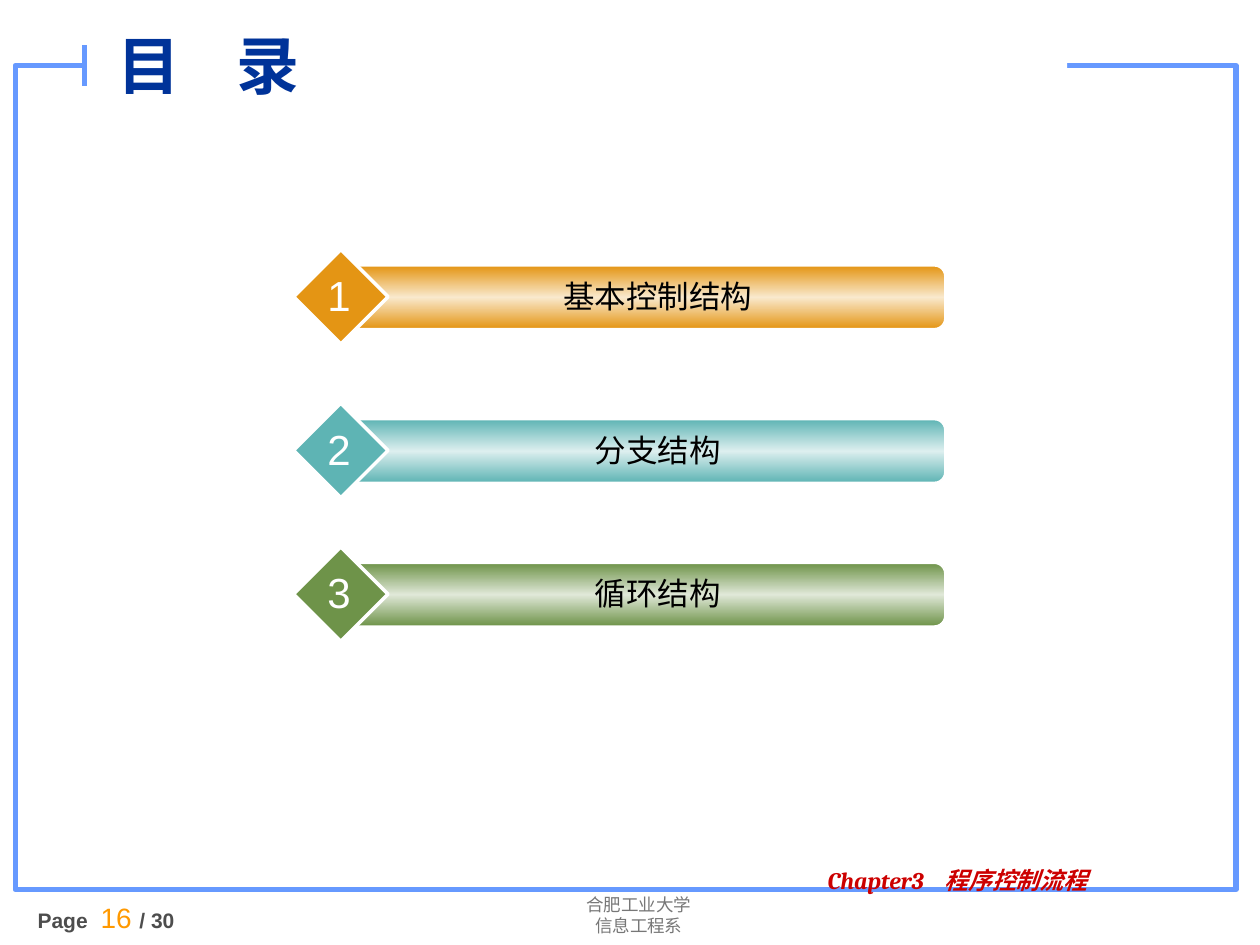
"""Build a contents slide with three numbered chapter sections."""
from copy import deepcopy

from lxml import etree
from pptx import Presentation
from pptx.dml.color import RGBColor
from pptx.enum.shapes import MSO_CONNECTOR, MSO_SHAPE
from pptx.enum.text import MSO_ANCHOR, MSO_AUTO_SIZE, PP_ALIGN
from pptx.oxml.ns import qn
from pptx.util import Inches, Pt

RECTANGLE, ROUNDED, DIAMOND = MSO_SHAPE.RECTANGLE, MSO_SHAPE.ROUNDED_RECTANGLE, MSO_SHAPE.DIAMOND
LEFT, CENTER = PP_ALIGN.LEFT, PP_ALIGN.CENTER
MIDDLE, GROW, FIXED = MSO_ANCHOR.MIDDLE, MSO_AUTO_SIZE.SHAPE_TO_FIT_TEXT, MSO_AUTO_SIZE.NONE
STRAIGHT = MSO_CONNECTOR.STRAIGHT

WHITE = RGBColor(0xFF, 0xFF, 0xFF)
BLACK = RGBColor(0x00, 0x00, 0x00)
FRAME_BLUE = RGBColor(0x66, 0x99, 0xFF)
TITLE_BLUE = RGBColor(0x00, 0x33, 0x99)
CHAPTER_RED = RGBColor(0xCC, 0x00, 0x00)
FOOTER_GRAY = RGBColor(0x77, 0x77, 0x77)
PAGE_GRAY = RGBColor(0x4D, 0x4D, 0x4D)
PAGE_ORANGE = RGBColor(0xFF, 0x99, 0x00)
ORANGE, PALE_ORANGE = RGBColor(0xE4, 0x95, 0x14), RGBColor(0xF9, 0xE9, 0xCD)
TEAL, PALE_TEAL = RGBColor(0x5E, 0xB4, 0xB4), RGBColor(0xDD, 0xEF, 0xEF)
GREEN, PALE_GREEN = RGBColor(0x6E, 0x93, 0x49), RGBColor(0xE0, 0xE8, 0xD8)

presentation = Presentation()
presentation.slide_width, presentation.slide_height = Inches(10), Inches(7.5)
slide = presentation.slides.add_slide(presentation.slide_layouts[5])


def add_shape(kind, box, line_color=None, line_width=0):
    shape = slide.shapes.add_shape(kind, *map(Inches, box))
    shape.shadow.inherit = False
    if line_color is None:
        shape.line.fill.background()
    else:
        shape.line.color.rgb = line_color
        shape.line.width = Pt(line_width)
    return shape


def write_text(shape, lines, align=LEFT, tab_stop=None, wrap=True, auto_size=GROW):
    frame = shape.text_frame
    frame.word_wrap, frame.auto_size = wrap, auto_size
    for index, runs in enumerate(lines):
        paragraph = frame.add_paragraph() if index else frame.paragraphs[0]
        paragraph.alignment = align
        if tab_stop:
            tabs = etree.SubElement(paragraph._p.get_or_add_pPr(), qn("a:tabLst"))
            etree.SubElement(tabs, qn("a:tab"), pos=str(Inches(tab_stop)), algn="l")
        for text, color, formats in runs:
            run = paragraph.add_run()
            run.text = text
            run.font.color.rgb = color
            for name, value in formats.items():
                setattr(run.font, name, value)


frame_border = add_shape(RECTANGLE, (0.12, 0.52, 9.69, 6.54), FRAME_BLUE, 3)
frame_border.fill.background()
title_gap = add_shape(RECTANGLE, (0.67, 0.28, 7.8, 0.35))
title_gap.fill.solid()
title_gap.fill.fore_color.rgb = WHITE

title_mark = slide.shapes.add_connector(
    STRAIGHT, Inches(0.67), Inches(0.36), Inches(0.67), Inches(0.68))
title_mark.line.color.rgb = FRAME_BLUE
title_mark.line.width = Pt(3)
etree.SubElement(title_mark._element.spPr, qn("a:effectLst"))

title = slide.shapes.title
title_mark._element.addnext(title._element)
title.left, title.top, title.width, title.height = map(Inches, (0.83, 0.11, 5.12, 0.8))
title.text_frame.vertical_anchor = MIDDLE
title_format = {"name": "Arial", "size": Pt(36), "bold": True}
write_text(title, [[("目\t录", TITLE_BLUE, title_format)]], tab_stop=0.95, auto_size=FIXED)

footer_format = {"name": "Karla", "size": Pt(10)}
page_format = {"name": "Arial", "size": Pt(12), "bold": True}
number_format = {"name": "Arial", "size": Pt(16), "bold": False}
chapter_format = {"name": "Cambria", "size": Pt(13.6), "bold": True, "italic": True}

footer = slide.shapes.add_textbox(*map(Inches, (3.8, 7.05, 2.54, 0.44)))
write_text(footer, [[(line, FOOTER_GRAY, footer_format)]
                    for line in ("合肥工业大学", "信息工程系")], CENTER)

page = slide.shapes.add_textbox(*map(Inches, (0.2, 7.1, 1.81, 0.6)))
write_text(page, [[("Page\t", PAGE_GRAY, page_format),
                   ("16 ", PAGE_ORANGE, number_format),
                   ("/ 30", PAGE_GRAY, page_format)]], tab_stop=0.5)

chapter = slide.shapes.add_textbox(*map(Inches, (6.47, 6.85, 3.07, 0.35)))
write_text(chapter, [[("Chapter3\t程序控制流程", CHAPTER_RED, chapter_format)]],
           tab_stop=0.93, auto_size=FIXED)
chapter.text_frame.paragraphs[0].line_spacing = 0.9

sections = [
    ("基本控制结构", 1.98, ORANGE, PALE_ORANGE, "Arial"),
    ("分支结构", 3.2, TEAL, PALE_TEAL, "Noto Sans CJK SC"),
    ("循环结构", 4.34, GREEN, PALE_GREEN, "Arial"),
]
for number, (label, top, color, pale, font_name) in enumerate(sections, 1):
    bar = add_shape(ROUNDED, (2.75, top + 0.13, 4.75, 0.5), WHITE, 1)
    bar.adjustments[0] = 0.167
    bar.fill.gradient()
    bar.fill.gradient_angle = 90
    stop_list = bar._element.spPr.find(qn("a:gradFill")).find(qn("a:gsLst"))
    stop_list.insert(1, deepcopy(stop_list[0]))
    for stop, position, stop_color in zip(
            bar.fill.gradient_stops, (0, 0.5, 1), (color, pale, color)):
        stop.position = position
        stop.color.rgb = stop_color

    diamond = add_shape(DIAMOND, (2.33, top, 0.75, 0.75), WHITE, 2)
    diamond.fill.solid()
    diamond.fill.fore_color.rgb = color

    label_box = slide.shapes.add_textbox(*map(Inches, (3, top + 0.17, 4.44, 0.4)))
    write_text(label_box, [[(label, BLACK, {"name": font_name, "size": Pt(18)})]], CENTER)
    number_box = slide.shapes.add_textbox(*map(Inches, (2.5, top + 0.11, 0.38, 0.5)))
    write_text(number_box, [[(str(number), WHITE, {"name": "Arial", "size": Pt(24)})]],
               CENTER, wrap=False)

presentation.save("out.pptx")
